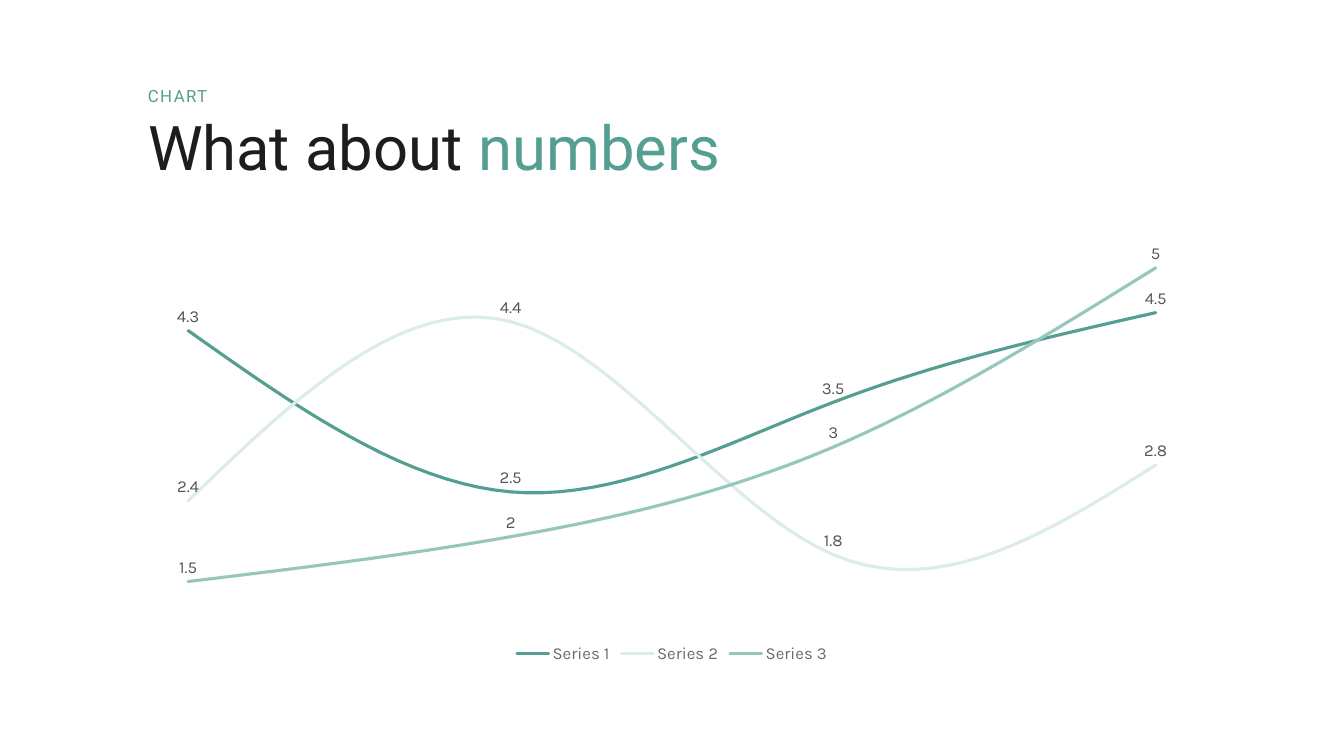
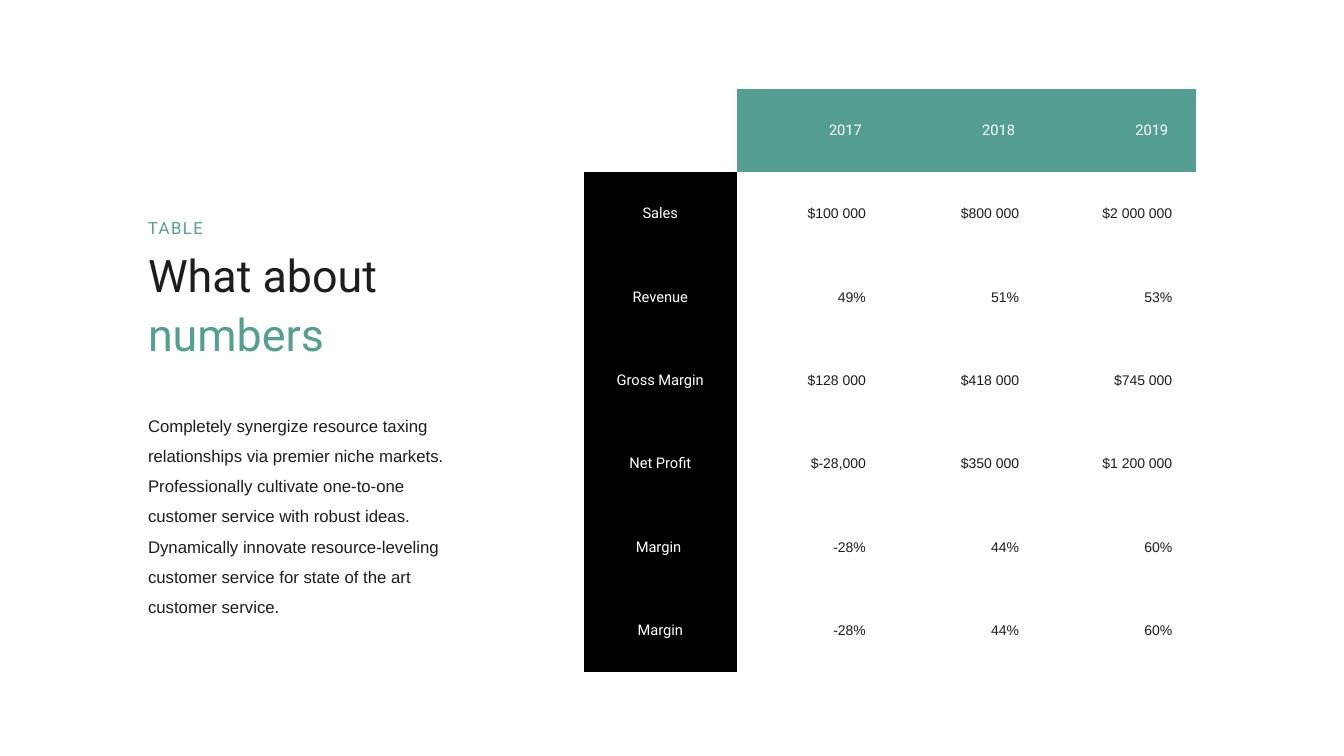
import pptx
import pptx.chart.data
import pptx.dml.color
import pptx.enum.chart
import pptx.enum.text
import pptx.oxml
import pptx.oxml.ns
import pptx.util

Cm = pptx.util.Cm
Pt = pptx.util.Pt
RGBColor = pptx.dml.color.RGBColor
ALIGN = pptx.enum.text.PP_ALIGN
ANCHOR = pptx.enum.text.MSO_ANCHOR
qn = pptx.oxml.ns.qn

TEAL = RGBColor(0x54, 0x9E, 0x92)
PALE_TEAL = RGBColor(0xDC, 0xEC, 0xEA)
SOFT_TEAL = RGBColor(0x96, 0xC7, 0xBF)
INK = RGBColor(0x1D, 0x1D, 0x1D)
LABEL_GREY = RGBColor(0x56, 0x56, 0x56)
LEGEND_GREY = RGBColor(0x6C, 0x6C, 0x6C)
BLACK = RGBColor(0, 0, 0)
WHITE = RGBColor(0xFF, 0xFF, 0xFF)
OFF_WHITE = RGBColor(0xFE, 0xFE, 0xFE)

HEAD_FONT, BODY_FONT, CHART_FONT = "Roboto", "Arial", "Karla"
LEFT = Cm(3.73)
NO_TABLE_STYLE = "{2D5ABB26-0587-4C30-8999-92F81FD0307C}"

CATEGORIES = ["1", "2", "3", "4"]
SERIES = [
    ("Series 1", (4.3, 2.5, 3.5, 4.5), TEAL),
    ("Series 2", (2.4, 4.4, 1.8, 2.8), PALE_TEAL),
    ("Series 3", (1.5, 2, 3, 5), SOFT_TEAL),
]
TABLE_ROWS = [
    ("", "2017", "2018", "2019"),
    ("Sales", "$100 000", "$800 000", "$2 000 000"),
    ("Revenue", "49%", "51%", "53%"),
    ("Gross Margin", "$128 000", "$418 000", "$745 000"),
    ("Net Profit", "$-28,000", "$350 000", "$1 200 000"),
    ("Margin ", "-28%", "44%", "60%"),
    ("Margin", "-28%", "44%", "60%"),
]
BODY_TEXT = (
    "Completely synergize resource taxing relationships via premier niche markets. "
    "Professionally cultivate one-to-one customer service with robust ideas. "
    "Dynamically innovate resource-leveling customer service for state of the art "
    "customer service."
)


def style_font(font, size, color, name):
    font.size = Pt(size)
    font.name = name
    font.color.rgb = color


def add_text(p, text, size=12, color=INK, font=HEAD_FONT, align=ALIGN.LEFT,
             line_spacing=None, spacing=None):
    p.alignment = align
    p.space_before = Pt(0)
    if line_spacing:
        p.line_spacing = line_spacing
    r = p.add_run()
    r.text = text
    style_font(r.font, size, color, font)
    if spacing:
        r._r.get_or_add_rPr().set("spc", str(spacing))


def place(sp, left, top, width, height, anchor=ANCHOR.TOP, inset_top=0):
    sp.left, sp.top, sp.width, sp.height = left, top, width, height
    tf = sp.text_frame
    tf.word_wrap = True
    tf.auto_size = pptx.enum.text.MSO_AUTO_SIZE.NONE
    tf.vertical_anchor = anchor
    tf.margin_left = tf.margin_right = tf.margin_bottom = 0
    tf.margin_top = inset_top
    return tf.paragraphs[0]


def add_heading(slide, kicker, kicker_top, top, width, height, size,
                line_spacing, inset_top=0, two_lines=False):
    p = place(slide.shapes.title, LEFT, top, width, height, inset_top=inset_top)
    add_text(p, "What about" if two_lines else "What about ", size=size,
             line_spacing=line_spacing)
    if two_lines:
        p.add_line_break()
    add_text(p, "numbers", size=size, color=TEAL, line_spacing=line_spacing)
    box = (LEFT, kicker_top, Cm(5.03), Cm(0.61))
    sp = slide.shapes.add_textbox(*box)
    add_text(place(sp, *box, anchor=ANCHOR.BOTTOM), kicker, color=TEAL,
             line_spacing=1.2, spacing=100)


def add_body(slide, text):
    p = place(slide.placeholders[1], LEFT, Cm(10.21), Cm(8.13), Cm(5.38))
    pPr = p._p.get_or_add_pPr()
    pPr.set("marL", "0")
    pPr.set("indent", "0")
    pPr.append(pptx.oxml.parse_xml(
        f'<a:buNone {pptx.oxml.ns.nsdecls("a")}/>'))
    add_text(p, text, font=BODY_FONT, line_spacing=1.5)


def set_layout(parent, index, target="", **fractions):
    for old in parent.findall(qn("c:layout")):
        parent.remove(old)
    inner = f'<c:layoutTarget val="{target}"/>' if target else ""
    modes = "".join(f'<c:{k}Mode val="edge"/>' for k in fractions if k in "xy")
    values = "".join(f'<c:{k} val="{v}"/>' for k, v in fractions.items())
    parent.insert(index, pptx.oxml.parse_xml(
        f'<c:layout {pptx.oxml.ns.nsdecls("c")}><c:manualLayout>'
        f'{inner}{modes}{values}</c:manualLayout></c:layout>'))


def add_line_chart(slide):
    data = pptx.chart.data.CategoryChartData()
    data.categories = CATEGORIES
    for name, values, _ in SERIES:
        data.add_series(name, values)
    chart = slide.shapes.add_chart(
        pptx.enum.chart.XL_CHART_TYPE.LINE,
        0, Cm(4.19), Cm(33.87), Cm(15.06), data).chart
    chart.has_title = False
    style_font(chart.font, 10, INK, CHART_FONT)

    for axis in (chart.category_axis, chart.value_axis):
        axis.has_major_gridlines = False
        axis.visible = False
    chart.value_axis.minimum_scale = 0
    chart.value_axis.maximum_scale = 6

    plot = chart.plots[0]
    plot.vary_by_categories = False
    for series, (_, _, color) in zip(plot.series, SERIES):
        series.smooth = True
        line = series.format.line
        line.color.rgb = color
        line.width = Pt(2.25)
        line._get_or_add_ln().set("cap", "rnd")
        labels = series.data_labels
        labels.show_value = True
        labels.position = pptx.enum.chart.XL_LABEL_POSITION.ABOVE
        style_font(labels.font, 12, LABEL_GREY, CHART_FONT)

    chart.has_legend = True
    legend = chart.legend
    legend.position = pptx.enum.chart.XL_LEGEND_POSITION.BOTTOM
    legend.include_in_layout = False
    style_font(legend.font, 12, LEGEND_GREY, CHART_FONT)
    set_layout(legend._element, 1, x=0.38, y=0.79, w=0.24, h=0.05)
    plot_area = chart._chartSpace.chart.plotArea
    set_layout(plot_area, 0, "inner", x=0.02, y=0.02, w=0.96, h=0.9)


def fill_cell(cell, text, fill, margin_right=None, **text_format):
    cell.fill.solid()
    cell.fill.fore_color.rgb = fill
    cell.vertical_anchor = ANCHOR.MIDDLE
    if margin_right is not None:
        cell.margin_right = margin_right
    if text:
        add_text(cell.text_frame.paragraphs[0], text, **text_format)


def add_figures_table(slide):
    rows, cols = len(TABLE_ROWS), len(TABLE_ROWS[0])
    table = slide.shapes.add_table(rows, cols, Cm(14.71), Cm(2.24),
                                   Cm(3.86) * cols, Cm(2.1) * rows).table
    table.first_row = table.horz_banding = False
    table._tbl.tblPr.find(qn("a:tableStyleId")).text = NO_TABLE_STYLE
    for i, row in enumerate(TABLE_ROWS):
        for j, text in enumerate(row):
            cell = table.cell(i, j)
            if i == 0:
                fill_cell(cell, text, TEAL if j else WHITE, Cm(0.71),
                          size=10.5, color=WHITE, align=ALIGN.RIGHT)
            elif j == 0:
                fill_cell(cell, text, BLACK, size=10.5, color=WHITE,
                          align=ALIGN.CENTER)
            else:
                fill_cell(cell, text, WHITE if i % 2 else OFF_WHITE, Cm(0.61),
                          size=10, font=BODY_FONT, align=ALIGN.RIGHT)


def build_chart_slide(prs):
    slide = prs.slides.add_slide(prs.slide_layouts[5])
    add_line_chart(slide)
    add_heading(slide, "CHART", Cm(2.06), Cm(2.82), Cm(26.42), Cm(1.83),
                size=44, line_spacing=0.9, inset_top=Cm(0.13))


def build_table_slide(prs):
    slide = prs.slides.add_slide(prs.slide_layouts[1])
    add_heading(slide, "TABLE", Cm(5.38), Cm(6.1), Cm(11.33), Cm(3),
                size=32, line_spacing=1.1, two_lines=True)
    add_body(slide, BODY_TEXT)
    add_figures_table(slide)


def main():
    prs = pptx.Presentation()
    prs.slide_width, prs.slide_height = Cm(33.87), Cm(19.05)
    build_chart_slide(prs)
    build_table_slide(prs)
    prs.save("out.pptx")


if __name__ == "__main__":
    main()
